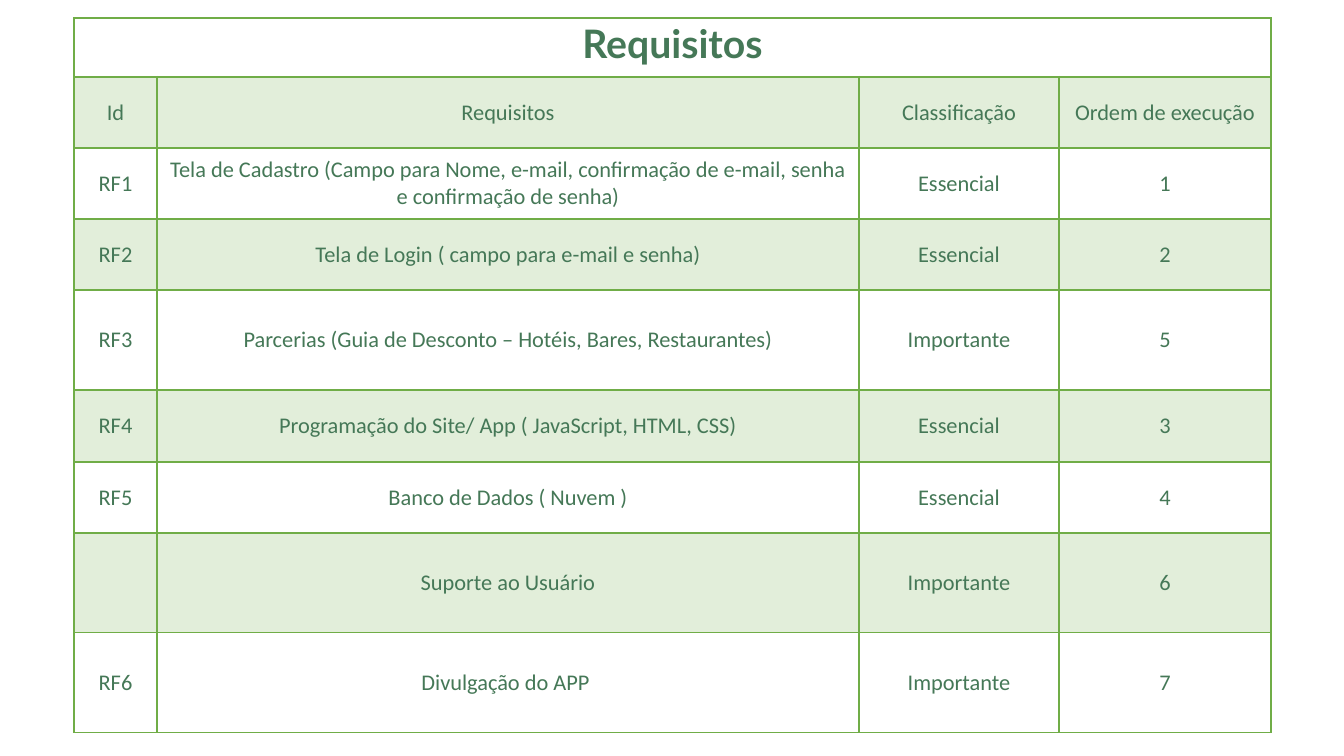
import pptx
import pptx.dml.color
import pptx.enum.text
import pptx.oxml
import pptx.oxml.ns
import pptx.util
from lxml import etree

PIXEL = 914400 / 100.8
GREEN = pptx.dml.color.RGBColor(0x70, 0xAD, 0x47)
TEXT_GREEN = pptx.dml.color.RGBColor(0x45, 0x78, 0x57)
CENTER = pptx.enum.text.PP_ALIGN.CENTER
MIDDLE = pptx.enum.text.MSO_ANCHOR.MIDDLE

COLUMN_WIDTHS = [83, 702, 200, 212]
ROW_HEIGHTS = [59, 71, 71, 71, 100, 72, 71, 100, 100]
REQUIREMENTS = [
    ("Id", "Requisitos", "Classificação", "Ordem de execução"),
    ("RF1", "Tela de Cadastro (Campo para Nome, e-mail, confirmação de e-mail, "
     "senha e confirmação de senha)", "Essencial", "1"),
    ("RF2", "Tela de Login ( campo para e-mail e senha)", "Essencial", "2"),
    ("RF3", "Parcerias (Guia de Desconto – Hotéis, Bares, Restaurantes)", "Importante", "5"),
    ("RF4", "Programação do Site/ App ( JavaScript, HTML, CSS)", "Essencial", "3"),
    ("RF5", "Banco de Dados ( Nuvem )", "Essencial", "4"),
    ("", "Suporte ao Usuário", "Importante", "6"),
    ("RF6", "Divulgação do APP ", "Importante", "7"),
]


def px(pixels):
    """Convert pixels to EMU."""
    return pptx.util.Emu(round(pixels * PIXEL))


def set_borders(cell, widths):
    """Draw green cell borders, with widths in points keyed by side."""
    properties = cell._tc.get_or_add_tcPr()
    for position, side in enumerate("LRTB"):
        line = pptx.oxml.parse_xml(
            f'<a:ln{side} {pptx.oxml.ns.nsdecls("a")} w="{pptx.util.Pt(widths[side])}">'
            f'<a:solidFill><a:srgbClr val="{GREEN}"/></a:solidFill></a:ln{side}>')
        properties.insert(position, line)


presentation = pptx.Presentation()
presentation.slide_width = px(1344)
presentation.slide_height = px(756)
slide = presentation.slides.add_slide(presentation.slide_layouts[5])

# Requirements table
table = slide.shapes.add_table(
    len(ROW_HEIGHTS), len(COLUMN_WIDTHS), px(74), px(18),
    px(sum(COLUMN_WIDTHS)), px(sum(ROW_HEIGHTS))).table
table.first_row = False
table.horz_banding = False
for column, width in zip(table.columns, COLUMN_WIDTHS):
    column.width = px(width)
for row, height in zip(table.rows, ROW_HEIGHTS):
    row.height = px(height)

for row_index, row in enumerate(table.rows):
    for column_index, cell in enumerate(row.cells):
        if row_index % 2:
            cell.fill.solid()
            cell.fill.fore_color.rgb = GREEN
            color = cell._tc.tcPr.find(".//" + pptx.oxml.ns.qn("a:srgbClr"))
            etree.SubElement(color, pptx.oxml.ns.qn("a:alpha"), val="20000")
        else:
            cell.fill.background()
        set_borders(cell, {"L": 1, "R": 1,
                           "T": 2 if row_index == 1 else 1,
                           "B": 2 if row_index == 0 else 1})
        if row_index == 0:
            continue
        cell.margin_left = cell.margin_right = px(9)
        cell.margin_top = cell.margin_bottom = px(4)
        cell.vertical_anchor = MIDDLE
        cell.text = REQUIREMENTS[row_index - 1][column_index]
        paragraph = cell.text_frame.paragraphs[0]
        paragraph.alignment = CENTER
        paragraph.font.name = "Calibri"
        paragraph.font.size = pptx.util.Pt(16)
        paragraph.font.color.rgb = TEXT_GREEN
table.cell(0, 0).merge(table.cell(0, len(COLUMN_WIDTHS) - 1))

# Title, in front of the table's empty first row
title = slide.shapes.title
slide.shapes.element.append(title.element)
title.left, title.top, title.width, title.height = px(93), px(20), px(1159), px(51)
title.text_frame.text = "Requisitos"
title.text_frame.vertical_anchor = MIDDLE
paragraph = title.text_frame.paragraphs[0]
paragraph.alignment = CENTER
paragraph.line_spacing = 0.9
paragraph.font.name = "Lato"
paragraph.font.size = pptx.util.Pt(28)
paragraph.font.bold = True
paragraph.font.color.rgb = TEXT_GREEN

presentation.save("out.pptx")
